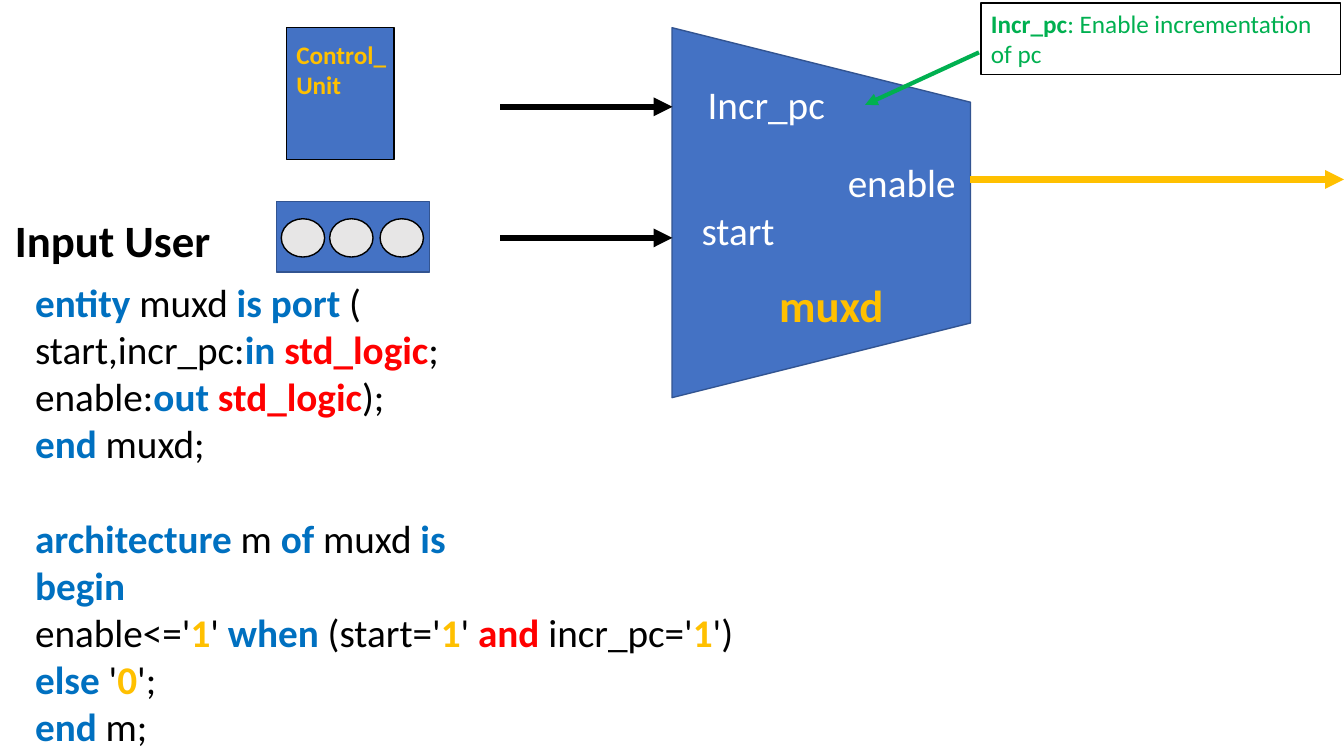
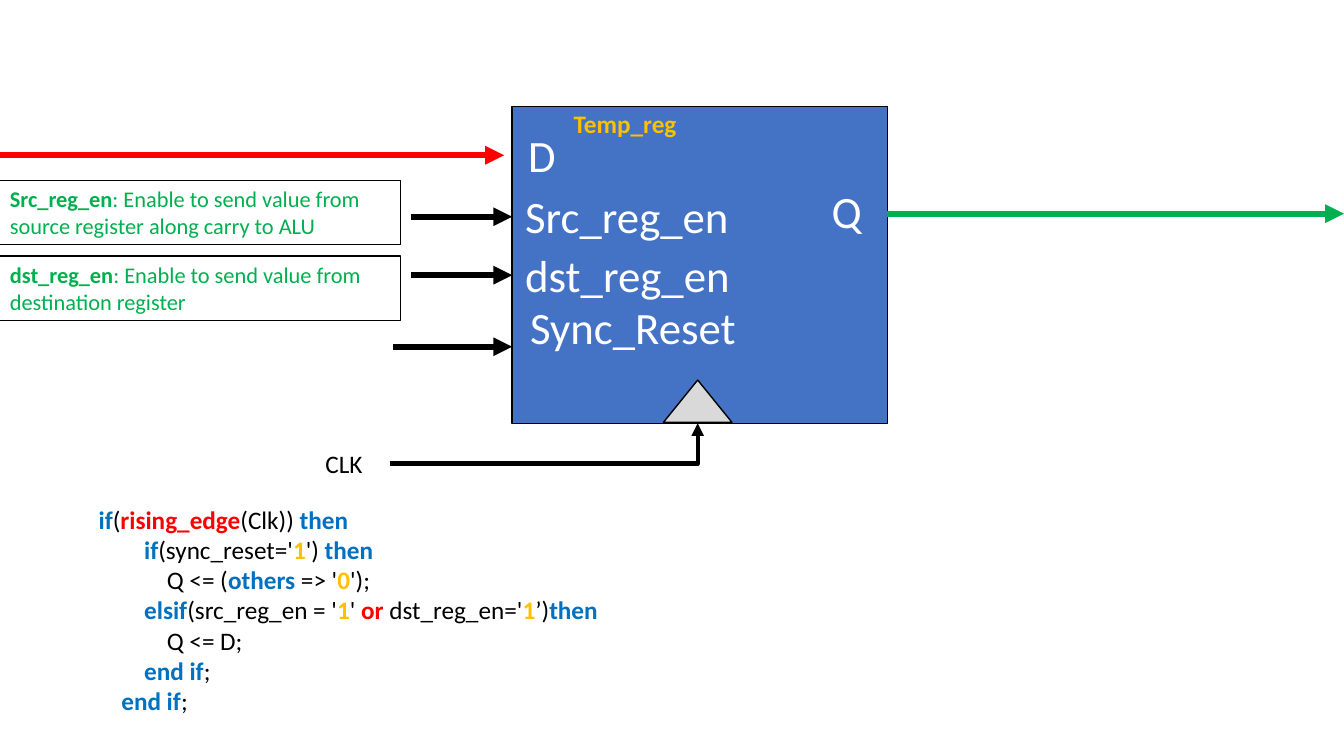
from pptx import Presentation
from pptx.dml.color import RGBColor
from pptx.enum import shapes, text
from pptx.oxml import ns, xmlchemy
from pptx.util import Inches, Pt

FONT = "Calibri"
COLORS = {
    "black": "000000", "white": "FFFFFF", "blue": "4472C4", "outline": "325491",
    "keyword": "0070C0", "red": "FF0000", "gold": "FFC000", "green": "00B050",
    "button": "E7E6E6", "clock": "D9D9D9",
}
# Run style: colour and bold
STYLES = {
    "plain": ("black", False), "port": ("white", False), "heading": ("black", True),
    "name": ("gold", True), "key": ("keyword", True), "type": ("red", True),
    "value": ("gold", True), "signal": ("green", True), "note": ("green", False),
}
RGB = {name: RGBColor.from_string(value) for name, value in COLORS.items()}
SHAPE = shapes.MSO_SHAPE


def add_text(s, box, size, paragraphs, outlined=False, gap_before=None):
    sp = s.shapes.add_textbox(*map(Inches, box))
    if outlined:
        sp.line.color.rgb = RGB["black"]
        sp.line.width = Pt(0.75)
    tf = sp.text_frame
    tf.word_wrap = True
    tf.auto_size = text.MSO_AUTO_SIZE.SHAPE_TO_FIT_TEXT
    for i, runs in enumerate(paragraphs):
        p = tf.paragraphs[0] if i == 0 else tf.add_paragraph()
        if i == gap_before:
            p.space_before = Pt(size * 1.22)
        for words, style in runs:
            r = p.add_run()
            r.text = words
            color, r.font.bold = STYLES[style]
            r.font.color.rgb = RGB[color]
            r.font.name = FONT
            r.font.size = Pt(size)


def add_arrow(s, start, end, color="black", width=4.5, bent=False):
    kind = shapes.MSO_CONNECTOR.ELBOW if bent else shapes.MSO_CONNECTOR.STRAIGHT
    line = s.shapes.add_connector(kind, *map(Inches, start + end))
    line.line.color.rgb = RGB[color]
    line.line.width = Pt(width)
    sp_pr = line._element.spPr
    if bent:
        sp_pr.find(ns.qn("a:prstGeom")).set("prst", "bentConnector2")
    tail = xmlchemy.OxmlElement("a:tailEnd")
    tail.set("type", "triangle")
    sp_pr.find(ns.qn("a:ln")).append(tail)
    sp_pr.append(xmlchemy.OxmlElement("a:effectLst"))


# Slide 1: multiplexer
mux = {
    "shapes": [
        (SHAPE.TRAPEZOID, (6.31, 0.63, 3.67, 2.96), 90, "blue", "outline"),
        (SHAPE.RECTANGLE, (2.84, 0.27, 1.07, 1.31), 0, "blue", "black"),
        (SHAPE.RECTANGLE, (2.74, 2, 1.52, 0.7), 0, "blue", "outline"),
    ] + [(SHAPE.OVAL, (x, 2.17, 0.43, 0.38), 0, "button", "black")
         for x in (2.79, 3.27, 3.77)],
    "arrows": [
        ((4.96, 1.06), (6.67, 1.06)),
        ((4.96, 2.36), (6.67, 2.36)),
        ((9.62, 1.78), (13.33, 1.78), "gold"),
        ((9.71, 0.52), (8.58, 1.04), "green", 3),
    ],
    "labels": [
        ("start", (6.86, 2, 1.62, 0.57), 28, "port"),
        ("Incr_pc", (6.92, 0.75, 1.62, 0.57), 28, "port"),
        ("enable", (8.31, 1.52, 1.62, 0.57), 28, "port"),
        ("muxd", (7.63, 2.71, 1.69, 0.64), 32, "name"),
        ("Input User", (0.05, 2.06, 3.21, 0.64), 32, "heading"),
        ("Control_Unit", (2.84, 0.34, 1.25, 0.71), 18, "name"),
    ],
    "callouts": [
        ("Incr_pc", ": Enable incrementation of pc", (9.73, 0.03, 3.57, 0.71), 18),
    ],
    "code_box": (0.25, 2.71, 7.78, 4.81),
    "code_size": 28,
    "code_gap": 4,
    "code": [
        [("entity ", "key"), ("muxd ", "plain"), ("is port", "key"), (" (", "plain")],
        [("start,incr_pc:", "plain"), ("in ", "key"), ("std_logic", "type"), (";", "plain")],
        [("enable:", "plain"), ("out ", "key"), ("std_logic", "type"), (");", "plain")],
        [("end ", "key"), ("muxd;", "plain")],
        [("architecture", "key"), (" m ", "plain"), ("of ", "key"), ("muxd ", "plain"),
         ("is", "key")],
        [("begin", "key")],
        [("enable<='", "plain"), ("1", "value"), ("' ", "plain"), ("when", "key"),
         (" (start='", "plain"), ("1", "value"), ("' ", "plain"), ("and ", "type"),
         ("incr_pc='", "plain"), ("1", "value"), ("') ", "plain"), ("else", "key"),
         (" '", "plain"), ("0", "value"), ("';", "plain")],
        [("end", "key"), (" m;", "plain")],
    ],
}

# Slide 2: temporary register
register = {
    "shapes": [
        (SHAPE.RECTANGLE, (5.08, 1.06, 3.72, 3.14), 0, "blue", "black"),
        (SHAPE.ISOSCELES_TRIANGLE, (6.58, 3.77, 0.68, 0.42), 0, "clock", "black"),
    ],
    "arrows": [
        ((8.8, 2.12), (13.33, 2.12), "green"),
        ((0, 1.54), (5, 1.54), "red"),
        ((4.08, 2.15), (5.08, 2.15)),
        ((4.08, 2.73), (5.08, 2.73)),
        ((3.9, 3.44), (5.08, 3.44)),
        ((3.87, 4.6), (6.92, 4.2), "black", 3, True),
    ],
    "labels": [
        ("Temp_reg", (5.59, 1.03, 1.61, 0.4), 18, "name"),
        ("D", (5.14, 1.22, 0.96, 0.64), 32, "port"),
        ("Src_reg_en", (5.11, 1.82, 2.35, 0.64), 32, "port"),
        ("dst_reg_en", (5.11, 2.41, 2.25, 0.64), 32, "port"),
        ("Sync_Reset", (5.16, 2.92, 2.67, 0.64), 32, "port"),
        ("Q", (8.15, 1.77, 0.96, 0.64), 32, "port"),
        ("CLK", (3.13, 4.4, 0.86, 0.41), 18, "plain"),
    ],
    "callouts": [
        ("Src_reg_en", ": Enable to send value from source register along carry to ALU",
         (0, 1.79, 3.97, 0.64), 16),
        ("dst_reg_en", ": Enable to send value from destination register",
         (0, 2.54, 3.97, 0.64), 16),
    ],
    "code_box": (0.88, 4.95, 6.67, 2.22),
    "code_size": 18,
    "code_gap": None,
    "code": [
        [("if", "key"), ("(", "plain"), ("rising_edge", "type"), ("(Clk)) ", "plain"),
         ("then", "key")],
        [("        ", "plain"), ("if", "key"), ("(sync_reset='", "plain"), ("1", "value"),
         ("') ", "plain"), ("then", "key")],
        [("            Q <= (", "plain"), ("others", "key"), (" => '", "plain"),
         ("0", "value"), ("');", "plain")],
        [("        ", "plain"), ("elsif", "key"), ("(src_reg_en = '", "plain"),
         ("1", "value"), ("' ", "plain"), ("or ", "type"), ("dst_reg_en='", "plain"),
         ("1", "value"), ("’)", "plain"), ("then", "key")],
        [("            Q <= D;", "plain")],
        [("        ", "plain"), ("end if", "key"), (";", "plain")],
        [("    ", "plain"), ("end if", "key"), (";", "plain")],
    ],
}

# Build both slides
prs = Presentation()
prs.slide_width, prs.slide_height = Inches(13.33), Inches(7.5)
for content in (mux, register):
    s = prs.slides.add_slide(prs.slide_layouts[6])
    for kind, box, rotation, fill, outline in content["shapes"]:
        sp = s.shapes.add_shape(kind, *map(Inches, box))
        sp.rotation = rotation
        sp.shadow.inherit = False
        sp.fill.solid()
        sp.fill.fore_color.rgb = RGB[fill]
        sp.line.color.rgb = RGB[outline]
        sp.line.width = Pt(1)
    for arrow in content["arrows"]:
        add_arrow(s, *arrow)
    for words, box, size, style in content["labels"]:
        add_text(s, box, size, [[(words, style)]])
    for signal, note, box, size in content["callouts"]:
        add_text(s, box, size, [[(signal, "signal"), (note, "note")]], outlined=True)
    add_text(s, content["code_box"], content["code_size"], content["code"],
             gap_before=content["code_gap"])

prs.save("out.pptx")
